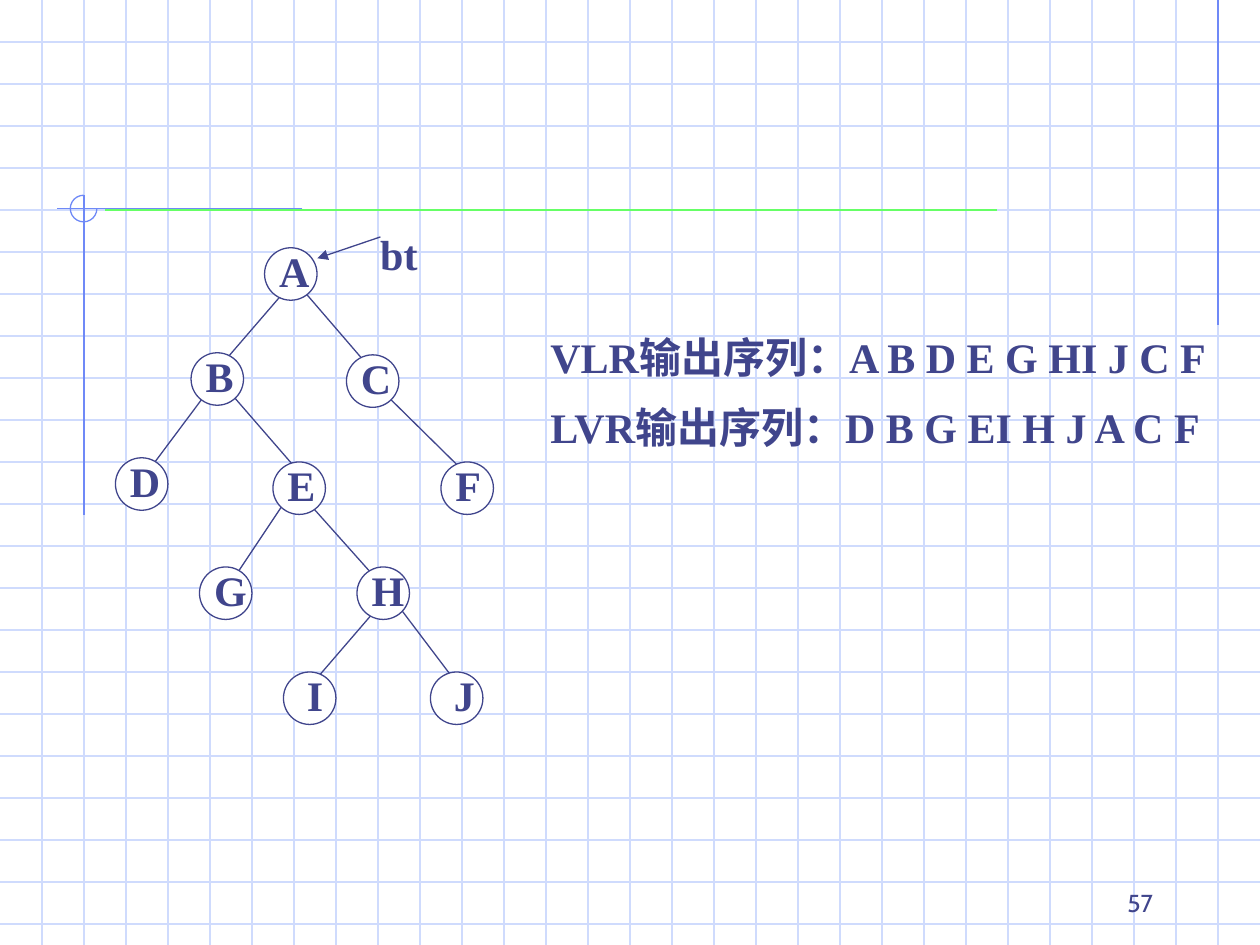
from lxml import etree
from pptx import Presentation
from pptx.dml.color import RGBColor
from pptx.enum.shapes import MSO_CONNECTOR, MSO_SHAPE
from pptx.enum.text import MSO_ANCHOR, MSO_AUTO_SIZE, PP_ALIGN
from pptx.oxml.ns import qn
from pptx.util import Pt

STRAIGHT = MSO_CONNECTOR.STRAIGHT
ELLIPSE, ARC = MSO_SHAPE.OVAL, MSO_SHAPE.ARC
TOP, BOTTOM = MSO_ANCHOR.TOP, MSO_ANCHOR.BOTTOM
LEFT, RIGHT = PP_ALIGN.LEFT, PP_ALIGN.RIGHT
GROW, FIXED = MSO_AUTO_SIZE.SHAPE_TO_FIT_TEXT, MSO_AUTO_SIZE.NONE

COLORS = {"grid": "CFDBFD", "accent": "6F89F7", "ink": "40458C",
          "rule": "66FF66", "node": "FFFFFF"}
WIDTH, HEIGHT, STEP = 720, 540, 24
DIAMETER = 30

NODES = [
    ("A", 151.2, 141.6, 1.2, 31.8),
    ("B", 109.2, 201.6, 1.2, 30.5),
    ("C", 198, 202.8, 1.2, 31.8),
    ("D", 66, 261.6, 1.2, 31.8),
    ("E", 156, 264, 1.2, 30.5),
    ("F", 252, 264, 1.2, 29.2),
    ("G", 114, 324, 1.2, 33.2),
    ("H", 204, 324, 1.2, 33.2),
    ("I", 162, 384, 6.3, 23.9),
    ("J", 246, 384, 6.3, 26),
]
EDGES = [
    (163.4, 165.6, 127.4, 207.4),
    (121.7, 219.6, 85.7, 267.8),
    (127.4, 219.6, 169.2, 267.8),
    (163.4, 285.8, 127.4, 339.8),
    (169.2, 279.4, 217.4, 333.4),
    (174.2, 167, 210.2, 208.8),
    (221.8, 226.8, 264.2, 268.6),
    (216, 347, 180, 388.8),
    (228.2, 347, 264.2, 394.6),
]


def write(tf, lines, font="Times New Roman", size=24, bold=True, color="ink",
          align=LEFT, spacing=None):
    for i, line in enumerate(lines):
        p = tf.paragraphs[0] if i == 0 else tf.add_paragraph()
        p.alignment = align
        if spacing:
            p.line_spacing = spacing
        r = p.add_run()
        r.text = line
        r.font.name = font
        r.font.size = Pt(size)
        r.font.bold = bold
        r.font.color.rgb = RGBColor.from_string(COLORS[color])


class Board:
    def __init__(self, slide, line_width=0.75):
        self.slide = slide
        self.line_width = line_width

    def line(self, x1, y1, x2, y2, color="ink", width=None, arrow=False):
        s = self.slide.shapes.add_connector(
            STRAIGHT, Pt(x1), Pt(y1), Pt(x2), Pt(y2))
        s.line.color.rgb = RGBColor.from_string(COLORS[color])
        s.line.width = Pt(width or self.line_width)
        if arrow:
            etree.SubElement(s.line._get_or_add_ln(), qn("a:tailEnd"),
                             type="triangle")
        etree.SubElement(s._element.spPr, qn("a:effectLst"))

    def shape(self, kind, x, y, size, color="ink", fill=None):
        s = self.slide.shapes.add_shape(kind, Pt(x), Pt(y), Pt(size), Pt(size))
        s.shadow.inherit = False
        s.line.color.rgb = RGBColor.from_string(COLORS[color])
        s.line.width = Pt(self.line_width)
        if fill:
            s.fill.solid()
            s.fill.fore_color.rgb = RGBColor.from_string(COLORS[fill])
        else:
            s.fill.background()
        return s

    def text(self, x, y, w, h, lines, wrap=False, fit=GROW, anchor=TOP, **style):
        tf = self.slide.shapes.add_textbox(Pt(x), Pt(y), Pt(w), Pt(h)).text_frame
        tf.word_wrap = wrap
        tf.auto_size = fit
        tf.vertical_anchor = anchor
        write(tf, lines, **style)

    def node(self, letter, x, y, inset, width):
        self.shape(ELLIPSE, x, y, DIAMETER, fill="node")
        self.text(x + inset, y - 4.8, width, 36, [letter])

    def grid(self):
        for y in range(STEP, HEIGHT, STEP):
            self.line(0, y, WIDTH, y, "grid")
        for x in range(STEP, WIDTH, STEP):
            self.line(x, 0, x, HEIGHT, "grid")

    def ornament(self):
        self.line(696, 0, 696, 185.8, "accent")
        self.line(172.8, 119.2, 32.4, 119.2, "accent")
        self.line(48, 111.6, 48, 294.5, "accent")
        arc = self.shape(ARC, 40.2, 111.6, 15.2, "accent")
        arc.adjustments[0] = 0
        arc.adjustments[1] = 162


def main():
    prs = Presentation()
    prs.slide_width, prs.slide_height = Pt(WIDTH), Pt(HEIGHT)
    board = Board(prs.slides.add_slide(prs.slide_layouts[6]))
    board.grid()
    board.ornament()
    board.text(210.2, 127, 40, 36, ["bt"], fit=FIXED)
    for edge in EDGES:
        board.line(*edge)
    board.line(217.4, 135.4, 181.4, 147.6, arrow=True)
    for node in NODES:
        board.node(*node)
    board.line(60, 120, 570, 120, "rule", width=1.5)
    board.text(307.4, 174.2, 401.8, 87.8,
               ["VLR输出序列：A B D E G HI J C F",
                "LVR输出序列：D B G EI H J A C F"], spacing=1.4)
    board.text(516, 492, 150, 36, ["57"], wrap=True, fit=FIXED, anchor=BOTTOM,
               font="Cabin", size=14, bold=False, align=RIGHT)
    prs.save("out.pptx")


if __name__ == "__main__":
    main()
